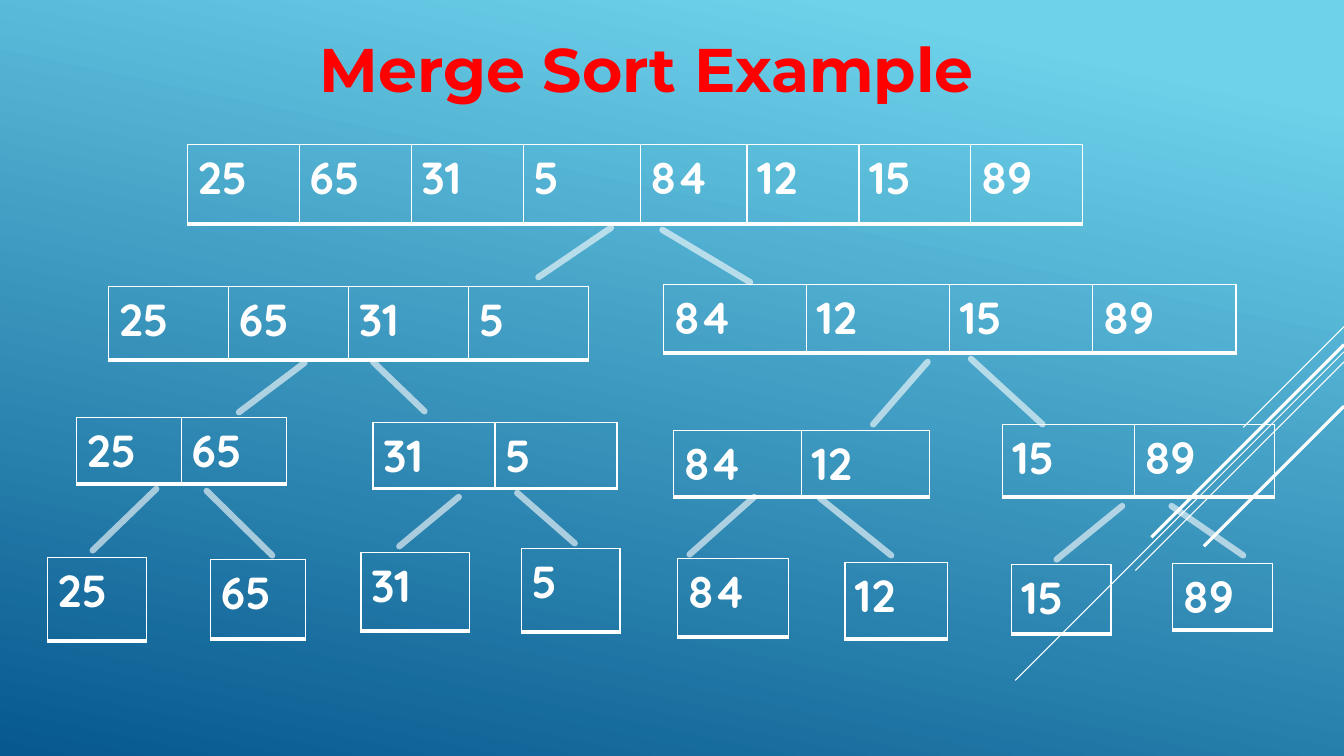
from lxml import etree
from pptx import Presentation
from pptx.dml.color import RGBColor
from pptx.enum.shapes import MSO_CONNECTOR
from pptx.enum.text import MSO_ANCHOR, PP_ALIGN
from pptx.oxml.ns import qn
from pptx.util import Inches, Pt

TITLE = "Merge Sort Example"
COLORS = {"sky": "6ED2EB", "deep": "06588E", "white": "FFFFFF", "title": "FF0000"}
NUMBERS = [25, 65, 31, 5, 84, 12, 15, 89]

# Each level splits NUMBERS evenly: left, top, height, column widths
LEVELS = [
    [(1.86, 1.43, 0.79, [1.11] * 3 + [1.16, 1.06] + [1.11] * 3)],
    [(1.08, 2.84, 0.73, [1.19] * 4), (6.58, 2.82, 0.68, [1.42] * 4)],
    [(0.76, 4.14, 0.66, [1.04] * 2), (3.7, 4.19, 0.65, [1.21] * 2),
     (6.68, 4.27, 0.66, [1.27] * 2), (9.94, 4.21, 0.72, [1.31, 1.39])],
    [(0.47, 5.53, 0.83, [0.98]), (2.09, 5.55, 0.79, [0.94]),
     (3.58, 5.48, 0.78, [1.08]), (5.17, 5.44, 0.83, [0.98]),
     (6.72, 5.54, 0.78, [1.1]), (8.38, 5.58, 0.76, [1.02]),
     (10.03, 5.6, 0.69, [0.99]), (11.63, 5.59, 0.65, [0.99])],
]

# Branches between levels: x1, y1, x2, y2
BRANCHES = [
    (6.06, 2.26, 5.34, 2.75), (6.57, 2.28, 7.44, 2.8),
    (3.02, 3.6, 2.37, 4.09), (3.7, 3.59, 4.21, 4.08),
    (9.2, 3.59, 8.66, 4.21), (9.63, 3.56, 10.34, 4.21),
    (1.55, 4.85, 0.92, 5.46), (2.05, 4.87, 2.7, 5.51),
    (4.55, 4.93, 3.96, 5.42), (5.13, 4.89, 5.7, 5.39),
    (7.48, 4.93, 6.84, 5.5), (8.13, 4.94, 8.84, 5.51),
    (11.13, 5.02, 10.48, 5.55), (11.62, 5.02, 12.33, 5.51),
]

# Diagonal rays from the right edge: start y, horizontal run, width in points
RAYS = [(3.24, 1.0, 0.75), (3.49, 3.26, 0.75), (3.59, 2.07, 0.75),
        (3.42, 1.91, 2.25), (4.03, 1.39, 2.25)]
SLIDE_W, SLIDE_H = 13.33, 7.5
BORDERS = {"a:lnL": 1, "a:lnR": 1, "a:lnT": 1, "a:lnB": 3}


def rgb(name):
    return RGBColor.from_string(COLORS[name])


def style_run(r, font, size, color):
    r.font.name, r.font.size, r.font.bold = font, Pt(size), True
    r.font.color.rgb = rgb(color)


def add_line(slide, x1, y1, x2, y2, width):
    line = slide.shapes.add_connector(
        MSO_CONNECTOR.STRAIGHT, *(Inches(v) for v in (x1, y1, x2, y2)))
    line.line.width = Pt(width)
    line.line.color.rgb = rgb("white")
    etree.SubElement(line._element.spPr, qn("a:effectLst"))
    return line


def add_branch(slide, ends):
    ln = add_line(slide, *ends, 4.5).line._get_or_add_ln()
    ln.set("cap", "rnd")
    color = ln.find(".//" + qn("a:srgbClr"))
    etree.SubElement(color, qn("a:alpha"), val="60000")


def set_borders(cell):
    tc_pr = cell._tc.get_or_add_tcPr()
    for i, (tag, width) in enumerate(BORDERS.items()):
        ln = etree.Element(qn(tag), w=str(Pt(width)))
        fill = etree.SubElement(ln, qn("a:solidFill"))
        etree.SubElement(fill, qn("a:srgbClr"), val=COLORS["white"])
        tc_pr.insert(i, ln)


def add_array(slide, values, left, top, height, widths):
    table = slide.shapes.add_table(
        1, len(widths), Inches(left), Inches(top),
        Inches(sum(widths)), Inches(height)).table
    table.first_row = table.horz_banding = False
    for col, (value, width) in enumerate(zip(values, widths)):
        table.columns[col].width = Inches(width)
        cell = table.cell(0, col)
        cell.fill.background()
        set_borders(cell)
        cell.text = str(value)
        style_run(cell.text_frame.paragraphs[0].runs[0], "Quicksand", 32, "white")


def main():
    prs = Presentation()
    prs.slide_width, prs.slide_height = Inches(SLIDE_W), Inches(SLIDE_H)
    s = prs.slides.add_slide(prs.slide_layouts[5])

    # Background
    fill = s.background.fill
    fill.gradient()
    fill.gradient_angle = 258
    for stop, name, position in zip(fill.gradient_stops, ("sky", "deep"), (0.1, 1)):
        stop.color.rgb = rgb(name)
        stop.position = position
    for y, run, width in RAYS:
        add_line(s, SLIDE_W, y, SLIDE_W - run, y + run, width)

    # Title
    title = s.shapes.title
    title.left, title.top = Inches(3.07), Inches(0.25)
    title.width, title.height = Inches(8.19), Inches(0.84)
    tf = title.text_frame
    tf.text = TITLE
    tf.vertical_anchor = MSO_ANCHOR.MIDDLE
    p = tf.paragraphs[0]
    p.alignment = PP_ALIGN.LEFT
    style_run(p.runs[0], "Montserrat", 44, "title")

    # Arrays and the branches joining them
    for level in LEVELS:
        size = len(NUMBERS) // len(level)
        for i, place in enumerate(level):
            add_array(s, NUMBERS[i * size:(i + 1) * size], *place)
    for ends in BRANCHES:
        add_branch(s, ends)

    prs.save("out.pptx")


if __name__ == "__main__":
    main()
